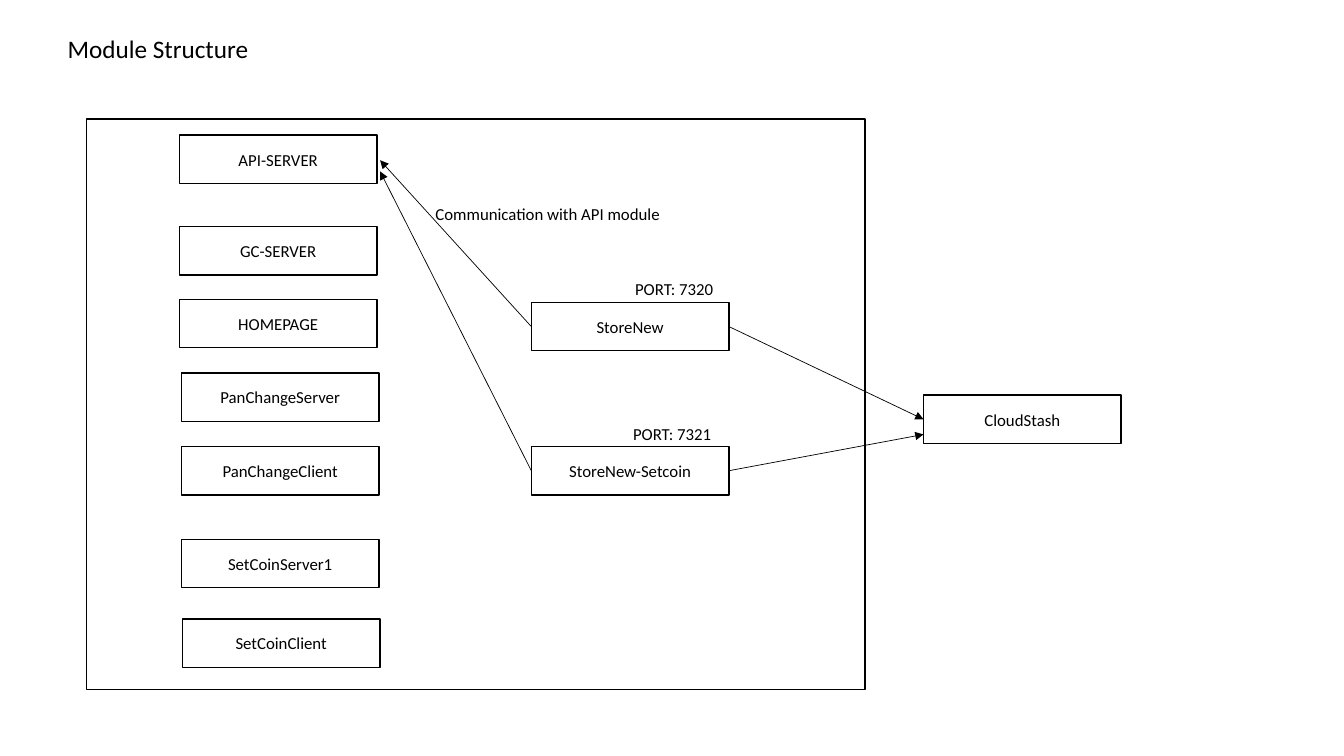
from lxml.etree import SubElement
from pptx import Presentation
from pptx.dml.color import RGBColor
from pptx.enum.shapes import MSO_CONNECTOR as Link, MSO_SHAPE as Shape
from pptx.enum.text import MSO_ANCHOR as Anchor, MSO_AUTO_SIZE as AutoSize, PP_ALIGN as Align
from pptx.oxml.ns import qn
from pptx.util import Emu, Pt

PX = 9144
BLACK = RGBColor(0, 0, 0)
WHITE = RGBColor(255, 255, 255)
FONT = "Calibri"
BOX_SIZE = (196, 48)
LEFT_SIDE, RIGHT_SIDE = 1, 3

TITLE = ("Module Structure", (57, 28, 438, 40))
FRAME = (86, 118, 772, 566)
MODULES = {
    "API-SERVER": (178, 134),
    "GC-SERVER": (178, 225),
    "HOMEPAGE": (178, 297),
    "PanChangeServer": (180, 370),
    "PanChangeClient": (180, 443),
    "SetCoinServer1": (180, 535),
    "SetCoinClient": (181, 614),
    "StoreNew": (527, 300),
    "StoreNew-Setcoin": (527, 443),
    "CloudStash": (916, 392),
}
LABELS = [
    ("PORT: 7320", (620, 272, 101, 30)),
    ("PORT: 7321", (618, 415, 101, 30)),
    ("Communication with API module", (422, 197, 438, 30)),
]
ARROWS = [
    ("StoreNew", LEFT_SIDE, (377, 159)),
    ("StoreNew-Setcoin", LEFT_SIDE, (377, 170)),
    ("StoreNew", RIGHT_SIDE, (916, 416)),
    ("StoreNew-Setcoin", RIGHT_SIDE, (916, 431)),
]


def to_emu(lengths):
    return [Emu(length * PX) for length in lengths]


def write(shape, text, size, align, anchor):
    frame = shape.text_frame
    frame.word_wrap = True
    frame.auto_size = AutoSize.NONE
    frame.vertical_anchor = anchor
    para = frame.paragraphs[0]
    para.alignment = align
    span = para.add_run()
    span.text = text
    span.font.name = FONT
    span.font.size = Pt(size)
    span.font.color.rgb = BLACK


def add_box(page, place):
    box = page.shapes.add_shape(Shape.RECTANGLE, *to_emu(place))
    box.shadow.inherit = False
    box.line.color.rgb = BLACK
    box.line.width = Pt(1)
    return box


def add_module(page, name, corner):
    box = add_box(page, corner + BOX_SIZE)
    box.fill.solid()
    box.fill.fore_color.rgb = WHITE
    write(box, name, 12, Align.CENTER, Anchor.MIDDLE)
    return box


def add_arrow(page, source, side, target):
    end = to_emu(target)
    arrow = page.shapes.add_connector(Link.STRAIGHT, *end, *end)
    arrow.begin_connect(source, side)
    arrow.line.color.rgb = BLACK
    arrow.line.width = Pt(0.5)
    SubElement(arrow.line._get_or_add_ln(), qn("a:tailEnd"), type="triangle")
    SubElement(arrow._element.spPr, qn("a:effectLst"))


def main():
    deck = Presentation()
    deck.slide_width, deck.slide_height = to_emu((1333, 750))
    page = deck.slides.add_slide(deck.slide_layouts[5])

    text, place = TITLE
    title = page.shapes.title
    title.left, title.top, title.width, title.height = to_emu(place)
    write(title, text, 18, Align.LEFT, Anchor.TOP)

    add_box(page, FRAME).fill.background()
    boxes = {name: add_module(page, name, corner) for name, corner in MODULES.items()}
    for name, side, target in ARROWS:
        add_arrow(page, boxes[name], side, target)
    for text, place in LABELS:
        label = page.shapes.add_textbox(*to_emu(place))
        write(label, text, 12, Align.LEFT, Anchor.TOP)

    deck.save("out.pptx")


if __name__ == "__main__":
    main()
